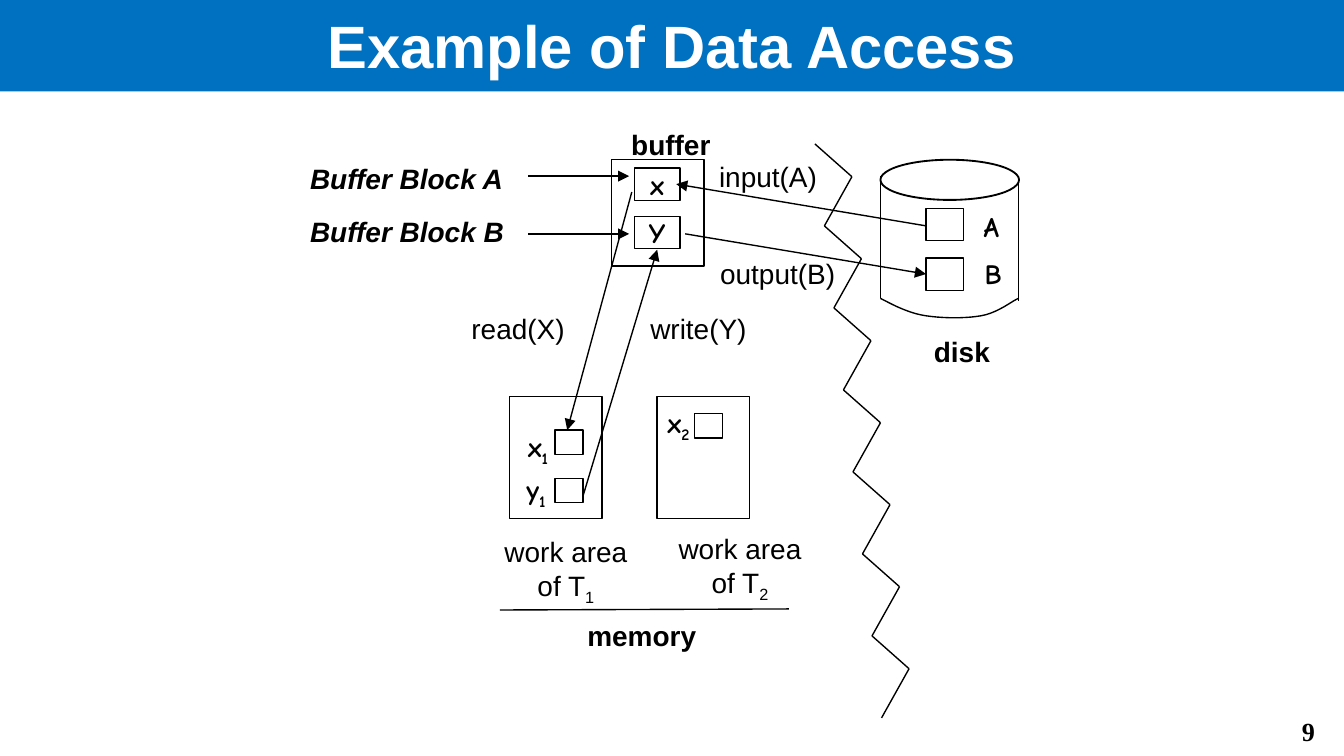
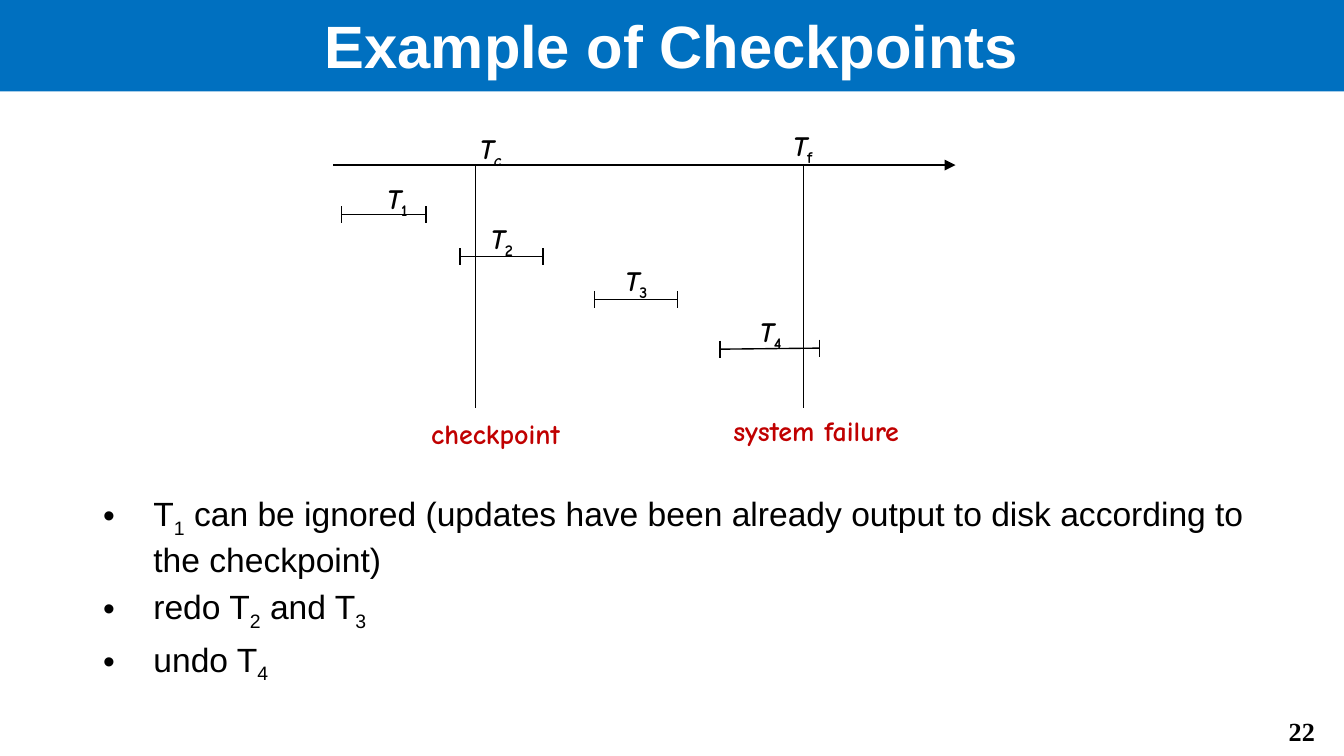
import lxml.etree
import pptx
import pptx.dml.color
import pptx.enum.shapes
import pptx.enum.text
import pptx.oxml.ns
import pptx.util

Cm = pptx.util.Cm
Pt = pptx.util.Pt
qn = pptx.oxml.ns.qn
colour = pptx.dml.color.RGBColor.from_string
ALIGN = pptx.enum.text.PP_ALIGN
ANCHOR = pptx.enum.text.MSO_ANCHOR
FIT = pptx.enum.text.MSO_AUTO_SIZE
SHAPE = pptx.enum.shapes.MSO_SHAPE

BLUE, WHITE, BLACK, RED = "0070C0", "FFFFFF", "000000", "C00000"
TITLE = {"name": "Arial", "size": Pt(32), "bold": True}
NUMBER = {"name": "Times New Roman", "size": Pt(14), "bold": True}
BODY = {"name": "Arial", "size": Pt(18)}
PLAIN = {"name": "Arial", "size": Pt(15)}
BOLD = {**PLAIN, "bold": True}
BOLD_ITALIC = {**BOLD, "italic": True}
HAND = {"name": "Comic Neue", "size": Pt(15), "bold": True}
HAND_ITALIC = {**HAND, "italic": True}


def write(frame, text, look, ink=BLACK, align=ALIGN.LEFT, slanted_sub=False):
    """Fill a frame, one paragraph a line; the character after _ is a subscript."""
    for index, line in enumerate(text.split("\n")):
        para = frame.paragraphs[0] if index == 0 else frame.add_paragraph()
        para.alignment = align
        first, *rest = line.split("_")
        pieces = [(first, False)]
        for piece in rest:
            pieces += [(piece[0], True), (piece[1:], False)]
        for words, lowered in pieces:
            if not words:
                continue
            span = para.add_run()
            span.text = words
            for name, value in look.items():
                setattr(span.font, name, value)
            span.font.color.rgb = colour(ink)
            if lowered:
                span.font.italic = slanted_sub
                span.font._element.set("baseline", "-25000")


def draw_line(page, x1, y1, x2, y2, arrow=False):
    line = page.shapes.add_connector(
        pptx.enum.shapes.MSO_CONNECTOR.STRAIGHT, Cm(x1), Cm(y1), Cm(x2), Cm(y2))
    line.line.width = Pt(0.75)
    line.line.color.rgb = colour(BLACK)
    if arrow:
        lxml.etree.SubElement(line.line._get_or_add_ln(), qn("a:tailEnd"), type="triangle")
    lxml.etree.SubElement(line._element.spPr, qn("a:effectLst"))


deck = pptx.Presentation()
deck.slide_width, deck.slide_height = Cm(25.4), Cm(14.29)

# Title band and page number
pages = []
for heading, number in [("Example of Data Access", "9"), ("Example of Checkpoints", "22")]:
    page = deck.slides.add_slide(deck.slide_layouts[5])
    pages.append(page)
    title = page.shapes.title
    title.left, title.top, title.width, title.height = Cm(0), Cm(-0.05), Cm(25.4), Cm(1.78)
    title.fill.solid()
    title.fill.fore_color.rgb = colour(BLUE)
    title.text_frame.auto_size = FIT.NONE
    title.text_frame.vertical_anchor = ANCHOR.MIDDLE
    write(title.text_frame, heading, TITLE, WHITE, ALIGN.CENTER)
    box = page.shapes.add_textbox(Cm(23.5), Cm(13.39), Cm(1.6), Cm(0.86))
    box.text_frame.word_wrap = True
    write(box.text_frame, number, NUMBER, align=ALIGN.RIGHT)
access, checkpoints = pages

# Buffer, disk and work areas
outlines = [
    (SHAPE.RECTANGLE, 11.56, 3.02, 1.75, 2.01, ""),
    (SHAPE.RECTANGLE, 11.99, 3.18, 0.86, 0.61, "x"),
    (SHAPE.RECTANGLE, 11.99, 4.09, 0.86, 0.61, "Y"),
    (SHAPE.OVAL, 16.64, 3.02, 2.62, 0.76, ""),
    (SHAPE.RECTANGLE, 17.5, 3.94, 0.71, 0.61, ""),
    (SHAPE.RECTANGLE, 17.5, 4.88, 0.71, 0.61, ""),
    (SHAPE.RECTANGLE, 9.63, 7.49, 1.75, 2.31, ""),
    (SHAPE.RECTANGLE, 12.42, 7.49, 1.75, 2.31, ""),
    (SHAPE.RECTANGLE, 13.13, 7.82, 0.53, 0.46, ""),
    (SHAPE.RECTANGLE, 10.49, 8.13, 0.53, 0.46, ""),
    (SHAPE.RECTANGLE, 10.49, 9.04, 0.53, 0.46, ""),
]
for kind, left, top, width, height, text in outlines:
    shape = access.shapes.add_shape(kind, Cm(left), Cm(top), Cm(width), Cm(height))
    shape.shadow.inherit = False
    shape.fill.background()
    shape.line.color.rgb = colour(BLACK)
    shape.line.width = Pt(1 if kind == SHAPE.OVAL else 0.75)
    if text:
        shape.text_frame.word_wrap = False
        shape.text_frame.vertical_anchor = ANCHOR.MIDDLE
        write(shape.text_frame, text, HAND, align=ALIGN.CENTER)

# Curved bottom of the disk, sampled from three Bezier pieces
curve = [(16.64, 5.64), (16.89, 5.77), (17.17, 5.92), (17.5, 5.97), (17.83, 6.02),
         (18.26, 6.02), (18.54, 5.97), (18.85, 5.92), (19.13, 5.69), (19.25, 5.64)]
points = []
for start in (0, 3, 6):
    for step in range(1, 11):
        t = step / 10
        weights = [(1 - t) ** 3, 3 * t * (1 - t) ** 2, 3 * t ** 2 * (1 - t), t ** 3]
        points.append([Cm(sum(weight * point[axis] for weight, point
                              in zip(weights, curve[start:start + 4]))) for axis in (0, 1)])
builder = access.shapes.build_freeform(Cm(curve[0][0]), Cm(curve[0][1]))
builder.add_line_segments(points, close=False)
bottom = builder.convert_to_shape()
bottom.shadow.inherit = False
bottom.fill.background()
bottom.line.color.rgb = colour(BLACK)
bottom.line.width = Pt(0.75)

# Disk sides and memory rule
for ends in [(16.64, 3.33, 16.64, 5.64), (19.25, 3.35, 19.25, 5.69),
             (9.45, 11.53, 14.91, 11.51)]:
    draw_line(access, *ends)

# Data movements
for ends in [(9.98, 3.33, 11.89, 3.33), (9.98, 4.42, 11.89, 4.42),
             (17.5, 4.27, 12.78, 3.48), (12.95, 4.42, 17.5, 5.18),
             (11.94, 3.63, 10.72, 8.13), (11.02, 9.37, 12.42, 4.72)]:
    draw_line(access, *ends, arrow=True)

# Zigzag between memory and disk
for turn in range(7):
    x, y = 15.4 + 0.18 * turn, 2.72 + 1.55 * turn
    draw_line(access, x, y, x + 0.7, y + 0.62)
    draw_line(access, x + 0.7, y + 0.62, x + 0.18, y + 1.55)

# Time axis, checkpoint and failure
draw_line(checkpoints, 6.3, 3.12, 18.06, 3.12, arrow=True)
for x in (8.99, 15.19):
    draw_line(checkpoints, x, 3.12, x, 7.72)

# Transactions
for x1, y1, x2, y2 in [(6.45, 4.06, 8.05, 4.06), (8.69, 4.85, 10.26, 4.85),
                       (11.23, 5.66, 12.8, 5.66), (13.61, 6.6, 15.49, 6.58)]:
    draw_line(checkpoints, x1, y1, x2, y2)
    for x, y in [(x1, y1), (x2, y2)]:
        draw_line(checkpoints, x, y - 0.16, x, y + 0.16)

# Labels of both diagrams
labels = [
    (access, "A", 18.34, 3.84, 0.91, HAND, BLACK),
    (access, "B", 18.36, 4.72, 0.84, HAND, BLACK),
    (access, "x_1", 9.73, 8, 1.04, HAND, BLACK),
    (access, "y_1", 9.7, 8.81, 1.19, HAND, BLACK),
    (access, "x_2", 12.37, 7.54, 1.04, HAND, BLACK),
    (access, "buffer", 11.68, 2.29, 2.03, BOLD, BLACK),
    (access, "Buffer Block A", 5.61, 2.92, 4.37, BOLD_ITALIC, BLACK),
    (access, "Buffer Block B", 5.61, 3.94, 4.37, BOLD_ITALIC, BLACK),
    (access, "input(A)", 13.34, 2.9, 2.39, PLAIN, BLACK),
    (access, "output(B)", 13.36, 4.72, 2.87, PLAIN, BLACK),
    (access, "read(X)", 8.66, 5.77, 2.36, PLAIN, BLACK),
    (access, "write(Y)", 12.04, 5.77, 2.36, PLAIN, BLACK),
    (access, "disk", 17.4, 6.2, 1.57, BOLD, BLACK),
    (access, "work area\nof T_1", 9.12, 9.98, 3.15, PLAIN, BLACK),
    (access, "work area\nof T_2", 12.55, 9.93, 2.87, PLAIN, BLACK),
    (access, "memory", 10.85, 11.56, 2.59, BOLD, BLACK),
    (checkpoints, "T_c", 8.81, 2.36, 1.07, HAND_ITALIC, BLACK),
    (checkpoints, "T_f", 14.73, 2.31, 1.07, HAND_ITALIC, BLACK),
    (checkpoints, "T_1", 7.06, 3.3, 1.09, HAND_ITALIC, BLACK),
    (checkpoints, "T_2", 9.02, 4.06, 1.09, HAND_ITALIC, BLACK),
    (checkpoints, "T_3", 11.56, 4.85, 1.09, HAND_ITALIC, BLACK),
    (checkpoints, "T_4", 14.1, 5.82, 1.09, HAND_ITALIC, BLACK),
    (checkpoints, "checkpoint", 7.9, 7.75, 3.2, HAND, RED),
    (checkpoints, "system failure", 13.61, 7.7, 4.22, HAND, RED),
]
for page, text, left, top, width, look, ink in labels:
    two_lines = "\n" in text
    box = page.shapes.add_textbox(Cm(left), Cm(top), Cm(width), Cm(1.55 if two_lines else 0.89))
    box.text_frame.word_wrap = False
    box.text_frame.auto_size = FIT.SHAPE_TO_FIT_TEXT
    write(box.text_frame, text, look, ink, ALIGN.CENTER if two_lines else ALIGN.LEFT,
          slanted_sub=text == "T_c")

# Recovery actions
box = checkpoints.shapes.add_textbox(Cm(1.7), Cm(9.2), Cm(22.81), Cm(3.61))
box.text_frame.word_wrap = True
write(box.text_frame,
      "T_1 can be ignored (updates have been already output to disk according to the checkpoint)\n"
      "redo T_2 and T_3\n"
      "undo T_4", BODY)
for index, para in enumerate(box.text_frame.paragraphs):
    para.space_before = Pt(3.6 if index else 0)
    properties = para._p.get_or_add_pPr()
    properties.set("marL", str(Cm(0.95)))
    properties.set("indent", str(-Cm(0.95)))
    lxml.etree.SubElement(properties, qn("a:buFont"), typeface="Arial")
    lxml.etree.SubElement(properties, qn("a:buChar"), char="•")

deck.save("out.pptx")
